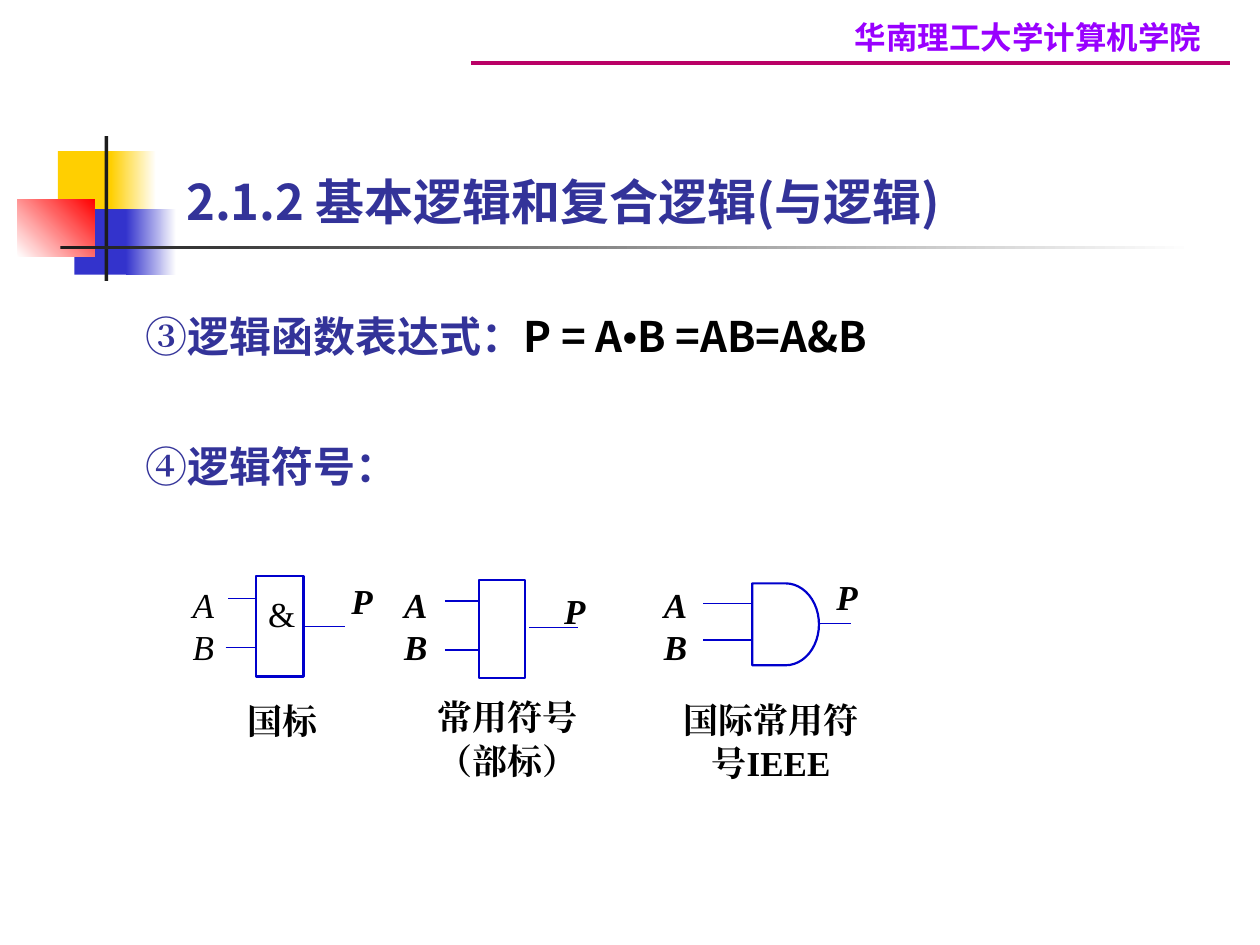
import pptx
import pptx.util
import pptx.dml.color
import pptx.enum.shapes
import pptx.enum.text
import lxml.etree

Inches = pptx.util.Inches
Pt = pptx.util.Pt
RGB = pptx.dml.color.RGBColor.from_string
SHAPE = pptx.enum.shapes.MSO_SHAPE
ALIGN = pptx.enum.text.PP_ALIGN
ANCHOR = pptx.enum.text.MSO_ANCHOR

SANS, SERIF = "Noto Sans CJK SC", "Times New Roman"
C = {"yellow": "FFCF01", "blue": "3333CC", "red": "FF0000", "white": "FFFFFF",
     "dark": "1C1C1C", "rule": "BA0066", "school": "9900FF",
     "heading": "333399", "black": "000000", "gate": "0000CC"}
A_NS = "http://schemas.openxmlformats.org/drawingml/2006/main"

prs = pptx.Presentation()
prs.slide_width, prs.slide_height = Inches(10), Inches(7.5)
s = prs.slides.add_slide(prs.slide_layouts[6])


def add_text(text, box, size=20, color="black", font=SERIF, bold=True, italic=False,
             align=ALIGN.LEFT, anchor=ANCHOR.TOP, spacing=None):
    """Text is a string, or a list of (text, color, font) runs; newlines split paragraphs."""
    tf = s.shapes.add_textbox(*map(Inches, box)).text_frame
    tf.word_wrap = True
    tf.vertical_anchor = anchor
    runs = [[(line, color, font)] for line in text.split("\n")] if isinstance(text, str) else [text]
    for i, parts in enumerate(runs):
        p = tf.add_paragraph() if i else tf.paragraphs[0]
        p.alignment = align
        p.line_spacing = spacing
        for words, run_color, run_font in parts:
            r = p.add_run()
            r.text = words
            r.font.size, r.font.bold, r.font.italic = Pt(size), bold, italic
            r.font.color.rgb = RGB(C[run_color])
            r.font.name = run_font
            ea = lxml.etree.SubElement(r.font._element, "{%s}ea" % A_NS)
            ea.set("typeface", run_font)


def add_line(x1, y1, x2, y2, color="gate", width=0.75):
    ln = s.shapes.add_connector(pptx.enum.shapes.MSO_CONNECTOR.STRAIGHT,
                                Inches(x1), Inches(y1), Inches(x2), Inches(y2))
    ln.line.color.rgb = RGB(C[color])
    ln.line.width = Pt(width)
    lxml.etree.SubElement(ln._element.spPr, "{%s}effectLst" % A_NS)


# Corner ornament: box, start colour, end colour (None = solid), angle
ornament = [
    ((0.46, 1.2, 0.48, 0.52), "yellow", None, 0),
    ((0.88, 1.2, 0.36, 0.52), "yellow", "white", 0),
    ((0.59, 1.66, 0.46, 0.52), "blue", None, 0),
    ((1, 1.66, 0.4, 0.52), "blue", "white", 0),
    ((0.14, 1.58, 0.61, 0.46), "white", "red", 45),
    ((0.83, 1.08, 0.03, 1.15), "dark", None, 0),
    ((0.48, 1.95, 9, 0.03), "dark", "white", 0),
]
for box, start, end, angle in ornament:
    sp = s.shapes.add_shape(SHAPE.RECTANGLE, *map(Inches, box))
    sp.shadow.inherit = False
    sp.line.fill.background()
    if end is None:
        sp.fill.solid()
        sp.fill.fore_color.rgb = RGB(C[start])
    else:
        sp.fill.gradient()
        sp.fill.gradient_angle = angle
        for stop, name in zip(sp.fill.gradient_stops, (start, end)):
            stop.color.rgb = RGB(C[name])

# Header and title
add_line(9.76, 0.5, 3.74, 0.5, color="rule", width=1.75)
add_text("华南理工大学计算机学院 ", (3.2, 0.09, 6.49, 0.4), size=18, color="school",
         font=SANS, align=ALIGN.RIGHT, anchor=ANCHOR.MIDDLE)
add_text("2.1.2 基本逻辑和复合逻辑(与逻辑) ", (1.38, 1.31, 7.33, 0.57), size=28,
         color="heading", font=SANS, anchor=ANCHOR.MIDDLE)

# Numbered headings
add_text([("③", "heading", SERIF), ("逻辑函数表达式：", "heading", SANS),
          ("P = A", "black", SANS), ("•", "black", SERIF), ("B =AB=A&B", "black", SANS)],
         (1.06, 2.41, 6.69, 0.51), size=24, align=ALIGN.JUSTIFY, anchor=ANCHOR.MIDDLE)
add_text([("④", "heading", SERIF), ("逻辑符号：", "heading", SANS)],
         (1.06, 3.44, 6.85, 0.51), size=24, align=ALIGN.JUSTIFY, anchor=ANCHOR.MIDDLE)

# Gate symbols: body, wires, input and output labels, caption
gates = [
    (SHAPE.RECTANGLE, (2.03, 4.57, 0.38, 0.8),
     [(1.81, 4.75, 2.03), (1.79, 5.14, 2.03), (2.42, 4.97, 2.74)],
     (1.43, 4.58, 0.47, 0.69), False, (2.69, 4.55, 0.47, 0.42),
     "国标", (1.85, 5.49, 0.79, 0.41)),
    (SHAPE.RECTANGLE, (3.8, 4.6, 0.37, 0.78),
     [(3.53, 4.77, 3.79), (3.53, 5.16, 3.79), (4.2, 4.98, 4.59)],
     (3.11, 4.58, 0.5, 0.69), True, (4.38, 4.63, 0.47, 0.42),
     "常用符号\n（部标）", (3.25, 5.46, 1.55, 0.76)),
    (SHAPE.FLOWCHART_DELAY, (5.97, 4.63, 0.53, 0.65),
     [(5.58, 4.79, 5.97), (5.58, 5.08, 5.97), (6.51, 4.95, 6.75)],
     (5.17, 4.58, 0.47, 0.69), True, (6.54, 4.52, 0.47, 0.55),
     "国际常用符号IEEE", (5.27, 5.48, 1.7, 0.87)),
]
for kind, body, wires, input_box, input_bold, output_box, caption, caption_box in gates:
    sp = s.shapes.add_shape(kind, *map(Inches, body))
    sp.shadow.inherit = False
    sp.fill.background()
    sp.line.color.rgb = RGB(C["gate"])
    sp.line.width = Pt(1.25)
    for x1, y, x2 in wires:
        add_line(x1, y, x2, y)
    add_text("A\nB", input_box, bold=input_bold, italic=True, align=ALIGN.JUSTIFY)
    add_text("P", output_box, italic=True, align=ALIGN.JUSTIFY)
    add_text(caption, caption_box, align=ALIGN.CENTER, spacing=1.04)
add_text("&", (2.03, 4.56, 0.4, 0.39), bold=False, align=ALIGN.JUSTIFY, spacing=1.28)

prs.save("out.pptx")
